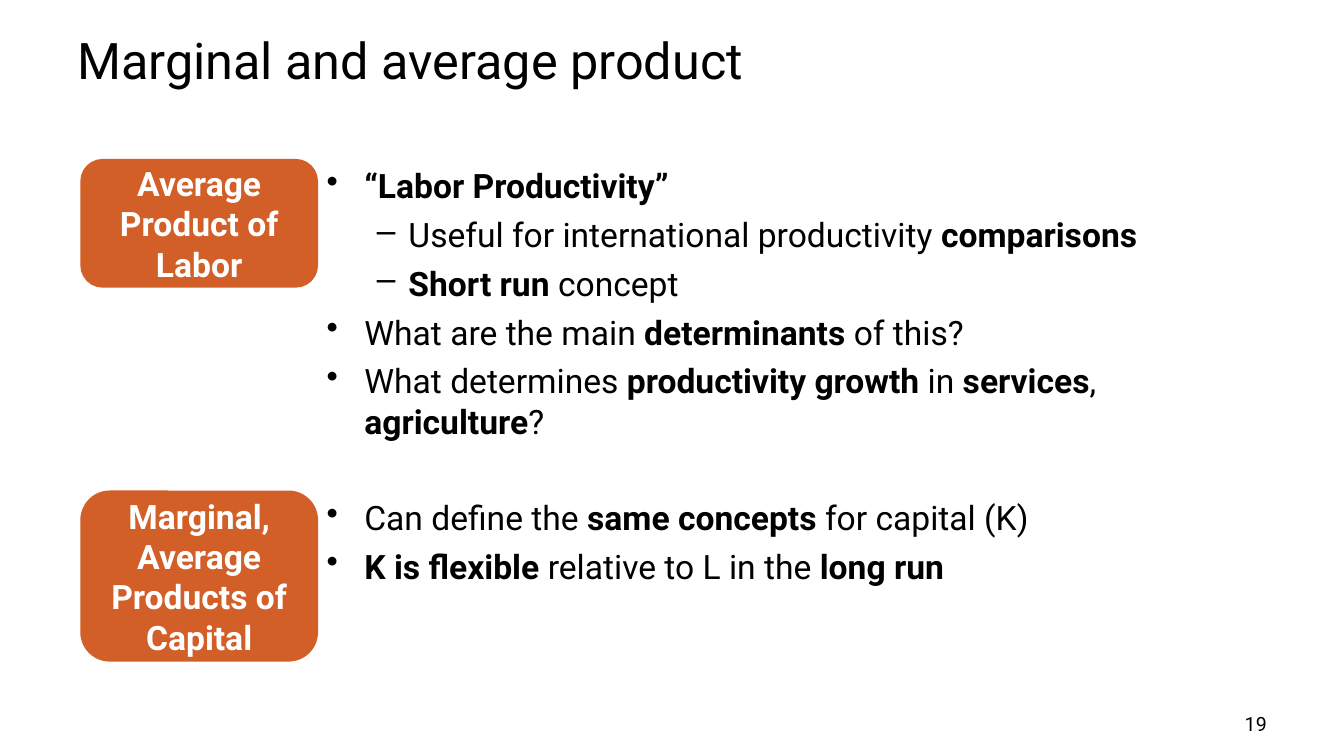
from lxml import etree
from pptx import Presentation
from pptx.dml.color import RGBColor
from pptx.enum.shapes import MSO_SHAPE
from pptx.enum.text import MSO_ANCHOR, PP_ALIGN
from pptx.oxml.ns import qn
from pptx.util import Pt

BLACK = RGBColor(0x00, 0x00, 0x00)
WHITE = RGBColor(0xFF, 0xFF, 0xFF)
ORANGE = RGBColor(0xD1, 0x5F, 0x27)
ROUNDED = MSO_SHAPE.ROUNDED_RECTANGLE
MIDDLE = MSO_ANCHOR.MIDDLE
LEFT, CENTER, RIGHT = PP_ALIGN.LEFT, PP_ALIGN.CENTER, PP_ALIGN.RIGHT

LABEL_LEFT, LABEL_WIDTH = 58.4, 167.8
LIST_LEFT, LIST_WIDTH = LABEL_LEFT + LABEL_WIDTH, 667.4

# Bullet, left margin and hanging indent for each level
LEVELS = [("•", 27, 27), ("–", 58.5, 22.5)]

# Label, top, label height, list height, and (level, text) with ** around bold
SECTIONS = [
    ("Average Product of Labor", 114.5, 90, 206, [
        (0, "**“Labor Productivity”**"),
        (1, "Useful for international productivity **comparisons**"),
        (1, "**Short run **concept"),
        (0, "What are the main **determinants **of this?"),
        (0, "What determines **productivity growth **in **services**, "
            "**agriculture**?"),
    ]),
    ("Marginal, Average Products of Capital", 351.4, 120.2, 71.3, [
        (0, "Can define the **same concepts **for capital (K)"),
        (0, "**K is flexible **relative to L in the **long run**"),
    ]),
]


def set_font(para, size, color):
    para.font.name = "Roboto"
    para.font.size = Pt(size)
    para.font.color.rgb = color


def add_box(left, top, width, height):
    box = page.shapes.add_textbox(Pt(left), Pt(top), Pt(width), Pt(height))
    box.text_frame.word_wrap = True
    return box.text_frame


deck = Presentation()
deck.slide_width, deck.slide_height = Pt(960), Pt(540)
page = deck.slides.add_slide(deck.slide_layouts[6])

# Title and page number
for text, place, size, align in [
    ("Marginal and average product", (48, 16.6, 864, 51.1), 36, LEFT),
    ("19", (688, 504.7, 224, 24.5), 14, RIGHT),
]:
    frame = add_box(*place)
    frame.vertical_anchor = MIDDLE
    para = frame.paragraphs[0]
    para.text = text
    para.alignment = align
    set_font(para, size, BLACK)

for name, top, label_height, list_height, points in SECTIONS:
    # Bulleted list
    frame = add_box(LIST_LEFT, top, LIST_WIDTH, list_height)
    for number, (level, text) in enumerate(points):
        para = frame.add_paragraph() if number else frame.paragraphs[0]
        bullet, margin, hanging = LEVELS[level]
        para.level = level
        para.space_after = Pt(6)
        properties = para._p.get_or_add_pPr()
        properties.set("marL", str(Pt(margin)))
        properties.set("indent", str(-Pt(hanging)))
        etree.SubElement(properties, qn("a:buChar"), char=bullet)
        set_font(para, 24, BLACK)
        for part, words in enumerate(text.split("**")):
            if words:
                span = para.add_run()
                span.text = words
                span.font.bold = part % 2 == 1

    # Orange label
    label = page.shapes.add_shape(ROUNDED, Pt(LABEL_LEFT), Pt(top),
                                  Pt(LABEL_WIDTH), Pt(label_height))
    label.shadow.inherit = False
    label.fill.solid()
    label.fill.fore_color.rgb = ORANGE
    label.line.color.rgb = ORANGE
    label.line.width = Pt(2)
    label.text_frame.word_wrap = True
    label.text_frame.vertical_anchor = MIDDLE
    para = label.text_frame.paragraphs[0]
    para.text = name
    para.alignment = CENTER
    set_font(para, 24, WHITE)
    para.font.bold = True

deck.save("out.pptx")
